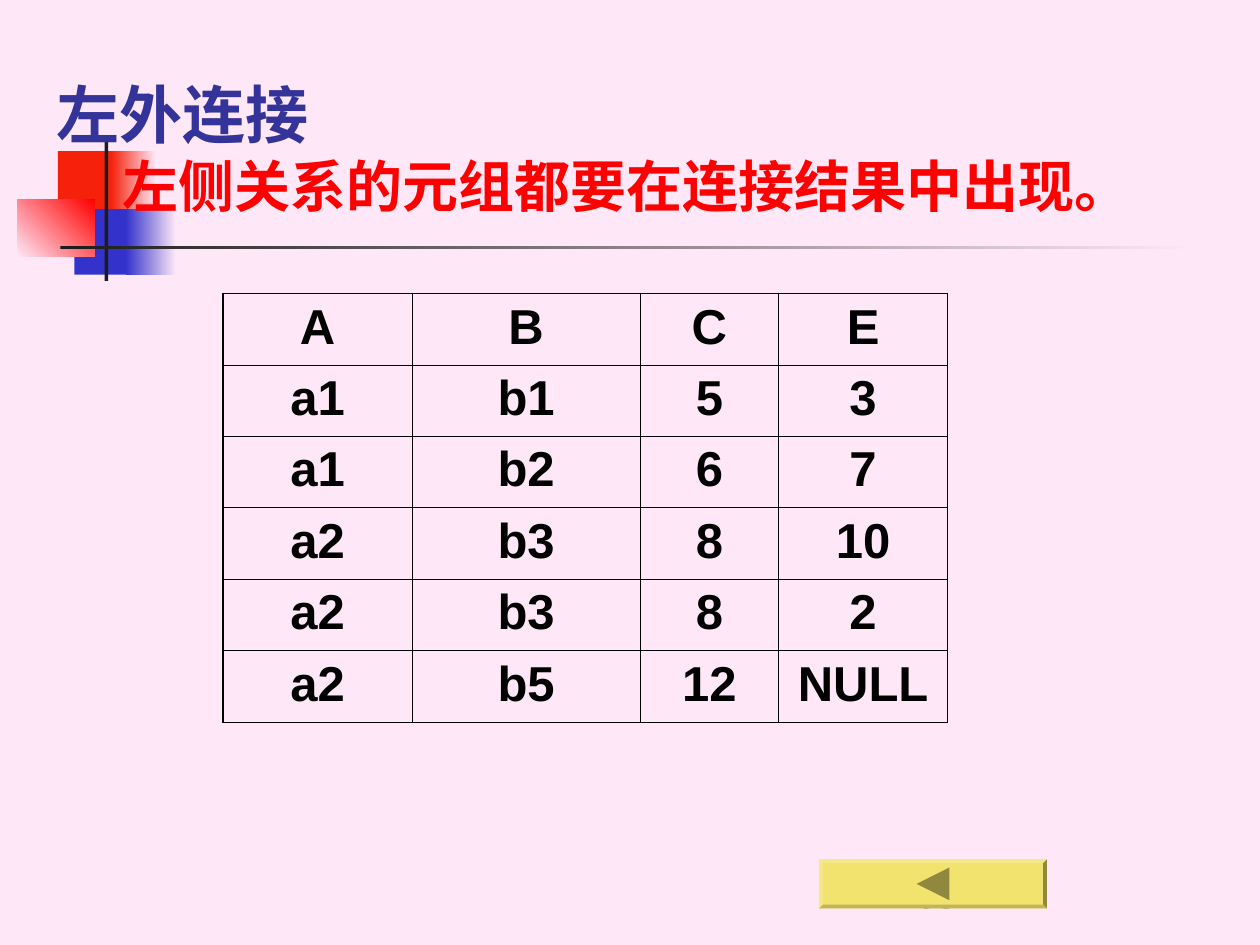
from dataclasses import dataclass
from typing import Any, NamedTuple

from lxml.etree import SubElement
from pptx import Presentation
from pptx.dml.color import RGBColor
from pptx.enum.shapes import MSO_SHAPE
from pptx.enum.text import MSO_ANCHOR, MSO_AUTO_SIZE, PP_ALIGN
from pptx.oxml.ns import qn
from pptx.util import Inches, Pt


@dataclass(frozen=True)
class Theme:
    back: str = "FEE8F7"
    red: str = "F5210B"
    bright: str = "FF0000"
    blue: str = "3333CC"
    dark: str = "1C1C1C"
    title: str = "333399"
    ink: str = "000000"
    face: str = "F2E26E"
    light: str = "F5E88B"
    shade: str = "918840"
    low: str = "C2B558"
    head: str = "Karla"
    cell: str = "Arial"
    page: str = "Times New Roman"
    title_size: int = 36
    body_size: int = 32
    cell_size: int = 28
    page_size: int = 24
    thick: float = 1.08
    thin: float = 0.45


THEME = Theme()


class Box(NamedTuple):
    left: float
    top: float
    width: float
    height: float


class Block(NamedTuple):
    box: Box
    start: str
    end: str = ""
    angle: int = 0


BLOCKS = [
    Block(Box(0.46, 1.2, 0.48, 0.52), THEME.red),
    Block(Box(0.88, 1.2, 0.36, 0.52), THEME.red, THEME.back),
    Block(Box(0.59, 1.66, 0.46, 0.52), THEME.blue),
    Block(Box(1, 1.66, 0.4, 0.52), THEME.blue, THEME.back),
    Block(Box(0.14, 1.58, 0.61, 0.46), THEME.back, THEME.bright, 45),
    Block(Box(0.83, 1.08, 0.03, 1.15), THEME.dark),
    Block(Box(0.48, 1.95, 9, 0.03), THEME.dark, THEME.back),
]

WIDTHS = [1.5, 1.81, 1.1, 1.34]
ROWS = [
    ["A", "B", "C", "E"],
    ["a1", "b1", "5", "3"],
    ["a1", "b2", "6", "7"],
    ["a2", "b3", "8", "10"],
    ["a2", "b3", "8", "2"],
    ["a2", "b5", "12", "NULL"],
]


def rgb(code: str) -> RGBColor:
    return RGBColor.from_string(code)


def apply(target: Any, values: dict[str, Any]) -> None:
    for name, value in values.items():
        setattr(target, name, value)


def write(frame: Any, text: str, face: str, size: int, color: str, bold: bool = True) -> Any:
    """Fill a text frame with one formatted paragraph."""
    frame.text = text
    para = frame.paragraphs[0]
    para.space_before = Pt(0)
    apply(para.font, {"name": face, "size": Pt(size), "bold": bold})
    para.font.color.rgb = rgb(color)
    return para


def paint(shape: Any, color: str) -> None:
    shape.shadow.inherit = False
    shape.line.fill.background()
    shape.fill.solid()
    shape.fill.fore_color.rgb = rgb(color)


def add_block(slide: Any, block: Block) -> None:
    shape = slide.shapes.add_shape(MSO_SHAPE.RECTANGLE, *map(Inches, block.box))
    paint(shape, block.start)
    if block.end:
        shape.fill.gradient()
        shape.fill.gradient_angle = block.angle
        for stop, color, place in zip(shape.fill.gradient_stops, (block.start, block.end), (0, 1)):
            stop.color.rgb = rgb(color)
            stop.position = place


def add_facet(slide: Any, points: list[tuple[float, float]], color: str) -> None:
    spots = [(Inches(x), Inches(y)) for x, y in points]
    pen = slide.shapes.build_freeform(*spots[0])
    pen.add_line_segments(spots[1:], close=True)
    paint(pen.convert_to_shape(), color)


def corners(box: Box, inset: float = 0) -> list[tuple[float, float]]:
    x, y = box.left + inset, box.top + inset
    right, base = box.left + box.width - inset, box.top + box.height - inset
    return [(x, y), (right, y), (right, base), (x, base)]


def add_button(slide: Any, box: Box) -> None:
    """Draw a bevelled button with an arrow pointing left."""
    add_block(slide, Block(box, THEME.face))
    outer, inner = corners(box), corners(box, 0.03)
    for i, color in enumerate((THEME.light, THEME.shade, THEME.low, THEME.light)):
        j = (i + 1) % 4
        add_facet(slide, [outer[i], outer[j], inner[j], inner[i]], color)
    x, y = box.left + box.width / 2, box.top + box.height / 2
    half = 0.13
    add_facet(slide, [(x - half, y), (x + half, y - half), (x + half, y + half)], THEME.shade)


def set_edges(cell: Any, edges: dict[str, float]) -> None:
    props = cell._tc.get_or_add_tcPr()
    for side, width in edges.items():
        line = SubElement(props, qn(f"a:ln{side}"), w=str(Pt(width)))
        fill = SubElement(line, qn("a:solidFill"))
        SubElement(fill, qn("a:srgbClr"), val=THEME.ink)


def add_grid(slide: Any, box: Box) -> None:
    last = len(WIDTHS) - 1
    table = slide.shapes.add_table(len(ROWS), len(WIDTHS), *map(Inches, box)).table
    apply(table, {"first_row": False, "horz_banding": False})
    for col, width in zip(table.columns, WIDTHS):
        col.width = Inches(width)
    for r, row in enumerate(ROWS):
        for c, text in enumerate(row):
            cell = table.cell(r, c)
            para = write(cell.text_frame, text, THEME.cell, THEME.cell_size, THEME.ink)
            para.alignment = PP_ALIGN.CENTER
            set_edges(cell, {
                "L": THEME.thin if c else THEME.thick,
                "R": THEME.thick if c == last else THEME.thin,
                "T": THEME.thin if r else THEME.thick,
                "B": THEME.thin,
            })
            cell.fill.background()


def place(holder: Any, box: Box, anchor: MSO_ANCHOR) -> Any:
    """Move a placeholder in front of the blocks and return its frame."""
    apply(holder, dict(zip(box._fields, map(Inches, box))))
    holder._element.getparent().append(holder._element)
    frame = holder.text_frame
    apply(frame, {"word_wrap": True, "auto_size": MSO_AUTO_SIZE.NONE, "vertical_anchor": anchor})
    return frame


def main() -> None:
    deck = Presentation()
    apply(deck, {"slide_width": Inches(10), "slide_height": Inches(7.5)})
    slide = deck.slides.add_slide(deck.slide_layouts[1])
    slide.background.fill.solid()
    slide.background.fill.fore_color.rgb = rgb(THEME.back)

    # Corner blocks and rules
    for block in BLOCKS:
        add_block(slide, block)

    # Page number, behind the button
    page = slide.shapes.add_textbox(*map(Inches, Box(7.17, 6.83, 2.33, 0.52))).text_frame
    page.word_wrap = True
    write(page, "85", THEME.page, THEME.page_size, THEME.ink, bold=False)

    # Title and statement
    title = place(slide.shapes.title, Box(0.35, 0, 8.5, 1.25), MSO_ANCHOR.BOTTOM)
    para = write(title, "左外连接", THEME.head, THEME.title_size, THEME.title)
    para.alignment = PP_ALIGN.LEFT
    body = place(slide.placeholders[1], Box(0.87, 1.15, 9.13, 0.87), MSO_ANCHOR.TOP)
    para = write(body, "左侧关系的元组都要在连接结果中出现。", THEME.head, THEME.body_size, THEME.bright)
    props = para._p.get_or_add_pPr()
    apply_indent = {"marL": Inches(0.38), "indent": -Inches(0.38)}
    for name, value in apply_indent.items():
        props.set(name, str(value))
    props.insert_element_before(props.makeelement(qn("a:buNone")), "a:tabLst", "a:defRPr", "a:extLst")

    # Back button and result table
    add_button(slide, Box(6.5, 6.82, 1.81, 0.39))
    add_grid(slide, Box(1.77, 2.33, 5.75, 3.4))
    deck.save("out.pptx")


if __name__ == "__main__":
    main()
